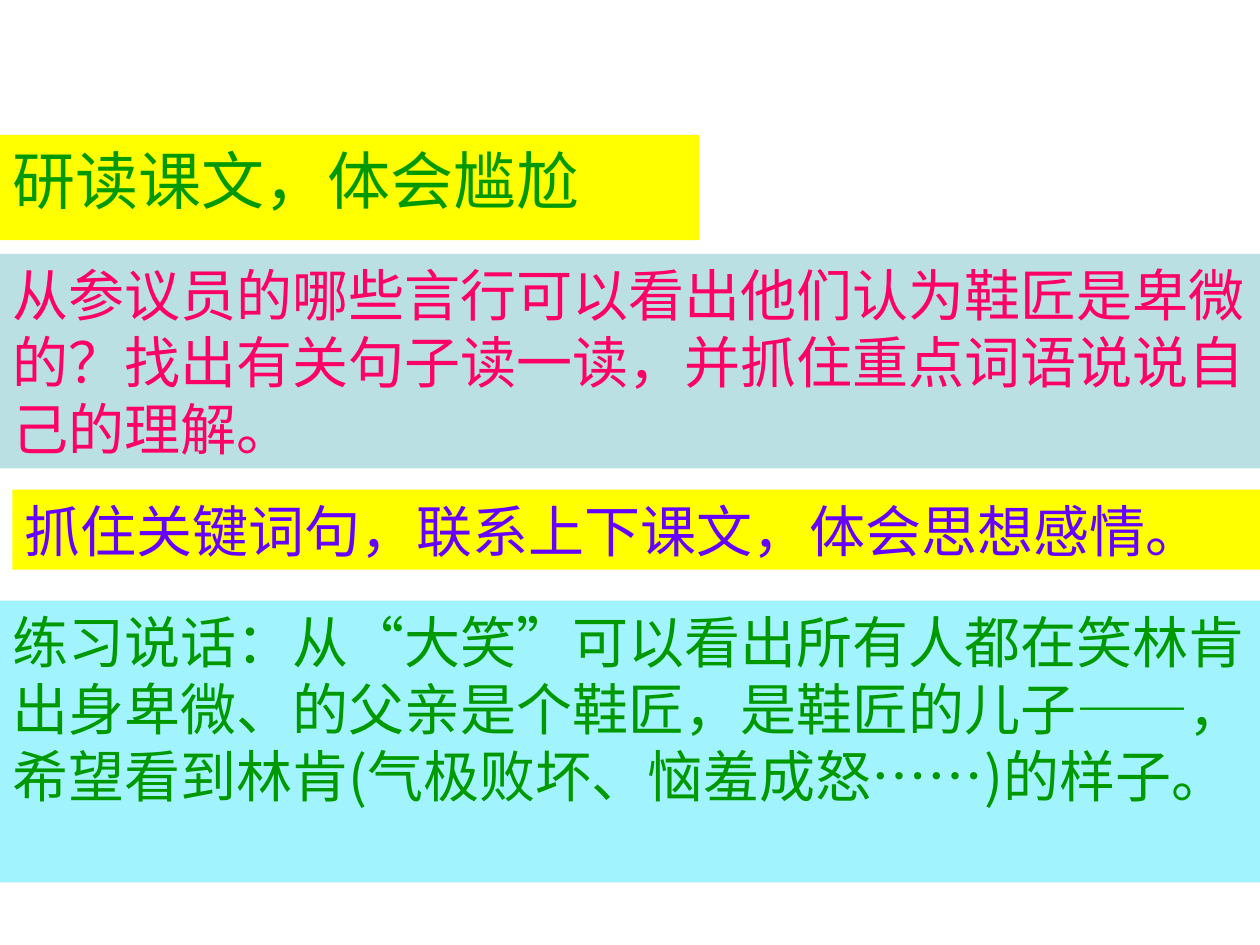
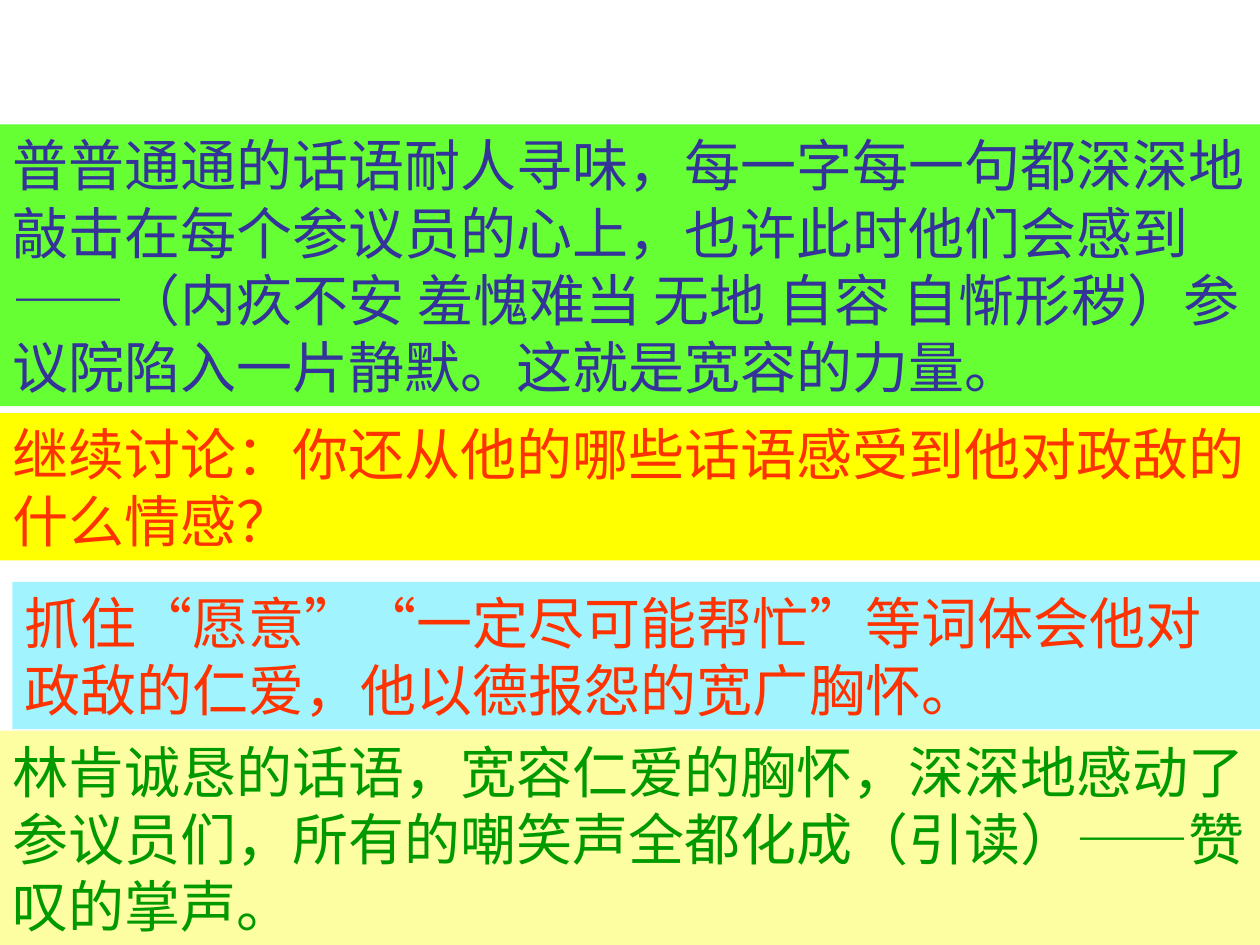
import dataclasses
import typing

import pptx
import pptx.dml.color
import pptx.enum.lang
import pptx.enum.shapes
import pptx.enum.text
import pptx.oxml
import pptx.oxml.ns
import pptx.util

RGBColor = pptx.dml.color.RGBColor
Cm = pptx.util.Cm

YELLOW = RGBColor(0xFF, 0xFF, 0x00)
GREY_TEAL = RGBColor(0xBB, 0xE0, 0xE3)
PALE_CYAN = RGBColor(0xA1, 0xF4, 0xFD)
BRIGHT_GREEN = RGBColor(0x66, 0xFF, 0x33)
CREAM = RGBColor(0xFD, 0xFD, 0xA1)
GREEN = RGBColor(0x00, 0x99, 0x00)
PINK = RGBColor(0xFF, 0x00, 0x66)
VIOLET = RGBColor(0x66, 0x00, 0xFF)
INDIGO = RGBColor(0x33, 0x33, 0x99)
RED = RGBColor(0xFF, 0x33, 0x00)

SLIDE_WIDTH = Cm(25.4)
SLIDE_HEIGHT = Cm(19.05)
INDENT = Cm(0.25)
TITLE_WIDTH = Cm(14.1)
SIDE_INSET = Cm(0.25)
EDGE_INSET = Cm(0.13)
LINE_SPACING = 1.2
TITLE_ONLY_LAYOUT = 5
BLANK_LAYOUT = 6

FONT_NAME = "Noto Sans CJK SC"
FONT_FORMAT = {
    "name": FONT_NAME,
    "bold": False,
    "language_id": pptx.enum.lang.MSO_LANGUAGE_ID.SIMPLIFIED_CHINESE,
}
FRAME_FORMAT = {
    "margin_left": SIDE_INSET,
    "margin_right": SIDE_INSET,
    "margin_top": EDGE_INSET,
    "margin_bottom": EDGE_INSET,
    "word_wrap": True,
    "auto_size": pptx.enum.text.MSO_AUTO_SIZE.SHAPE_TO_FIT_TEXT,
    "vertical_anchor": pptx.enum.text.MSO_ANCHOR.TOP,
}


@dataclasses.dataclass(frozen=True)
class Band:
    text: str
    top: pptx.util.Length
    lines: int
    fill: RGBColor
    color: RGBColor
    left: pptx.util.Length = Cm(0)
    width: typing.Optional[pptx.util.Length] = None
    size: int = 32
    is_title: bool = False


READING_BANDS = [
    Band("研读课文，体会尴尬", Cm(2.72), 1, YELLOW, GREEN,
         width=TITLE_WIDTH, size=36, is_title=True),
    Band("从参议员的哪些言行可以看出他们认为鞋匠是卑微的？找出有关句子读一读，"
         "并抓住重点词语说说自己的理解。", Cm(5.12), 3, GREY_TEAL, PINK),
    Band("抓住关键词句，联系上下课文，体会思想感情。",
         Cm(9.87), 1, YELLOW, VIOLET, left=INDENT),
    Band("练习说话：从“大笑”可以看出所有人都在笑林肯出身卑微、的父亲是个鞋匠，"
         "是鞋匠的儿子——，希望看到林肯(气极败坏、恼羞成怒……)的样子。",
         Cm(12.11), 4, PALE_CYAN, GREEN),
]
TOLERANCE_BANDS = [
    Band("普普通通的话语耐人寻味，每一字每一句都深深地敲击在每个参议员的心上，"
         "也许此时他们会感到——（内疚不安 羞愧难当 无地 自容 自惭形秽）"
         "参议院陷入一片静默。这就是宽容的力量。",
         Cm(2.51), 4, BRIGHT_GREEN, INDIGO),
    Band("继续讨论：你还从他的哪些话语感受到他对政敌的什么情感？",
         Cm(8.33), 2, YELLOW, RED),
    Band("抓住“愿意”“一定尽可能帮忙”等词体会他对政敌的仁爱，"
         "他以德报怨的宽广胸怀。", Cm(11.73), 2, PALE_CYAN, RED, left=INDENT),
    Band("林肯诚恳的话语，宽容仁爱的胸怀，深深地感动了参议员们，"
         "所有的嘲笑声全都化成（引读）——赞叹的掌声。",
         Cm(14.73), 3, CREAM, GREEN),
]


def apply_format(target: typing.Any, values: dict) -> None:
    for name, value in values.items():
        setattr(target, name, value)


def write_text(box: typing.Any, band: Band) -> None:
    frame = box.text_frame
    apply_format(frame, FRAME_FORMAT)
    para = frame.paragraphs[0]
    para.alignment = pptx.enum.text.PP_ALIGN.LEFT
    para.line_spacing = 1.0
    span = para.add_run()
    span.text = band.text
    apply_format(span.font, {**FONT_FORMAT, "size": pptx.util.Pt(band.size)})
    span.font.color.rgb = band.color
    latin = span.font._element.find(pptx.oxml.ns.qn("a:latin"))
    east_asian = pptx.oxml.parse_xml(
        f'<a:ea {pptx.oxml.ns.nsdecls("a")} typeface="{FONT_NAME}"/>')
    latin.addnext(east_asian)


def draw_band(page: typing.Any, band: Band) -> None:
    width = band.width or SLIDE_WIDTH - band.left
    height = pptx.util.Pt(LINE_SPACING * band.size) * band.lines + 2 * EDGE_INSET
    place = {"left": band.left, "top": band.top, "width": width, "height": height}
    if band.is_title:
        box = page.shapes.title
        apply_format(box, place)
    else:
        box = page.shapes.add_shape(
            pptx.enum.shapes.MSO_SHAPE.RECTANGLE, **place)
        box.shadow.inherit = False
    box.fill.solid()
    box.fill.fore_color.rgb = band.fill
    box.line.fill.background()
    write_text(box, band)


def main() -> None:
    deck = pptx.Presentation()
    deck.slide_width = SLIDE_WIDTH
    deck.slide_height = SLIDE_HEIGHT
    for layout, bands in ((TITLE_ONLY_LAYOUT, READING_BANDS),
                          (BLANK_LAYOUT, TOLERANCE_BANDS)):
        page = deck.slides.add_slide(deck.slide_layouts[layout])
        for band in bands:
            draw_band(page, band)
    deck.save("out.pptx")


if __name__ == "__main__":
    main()
